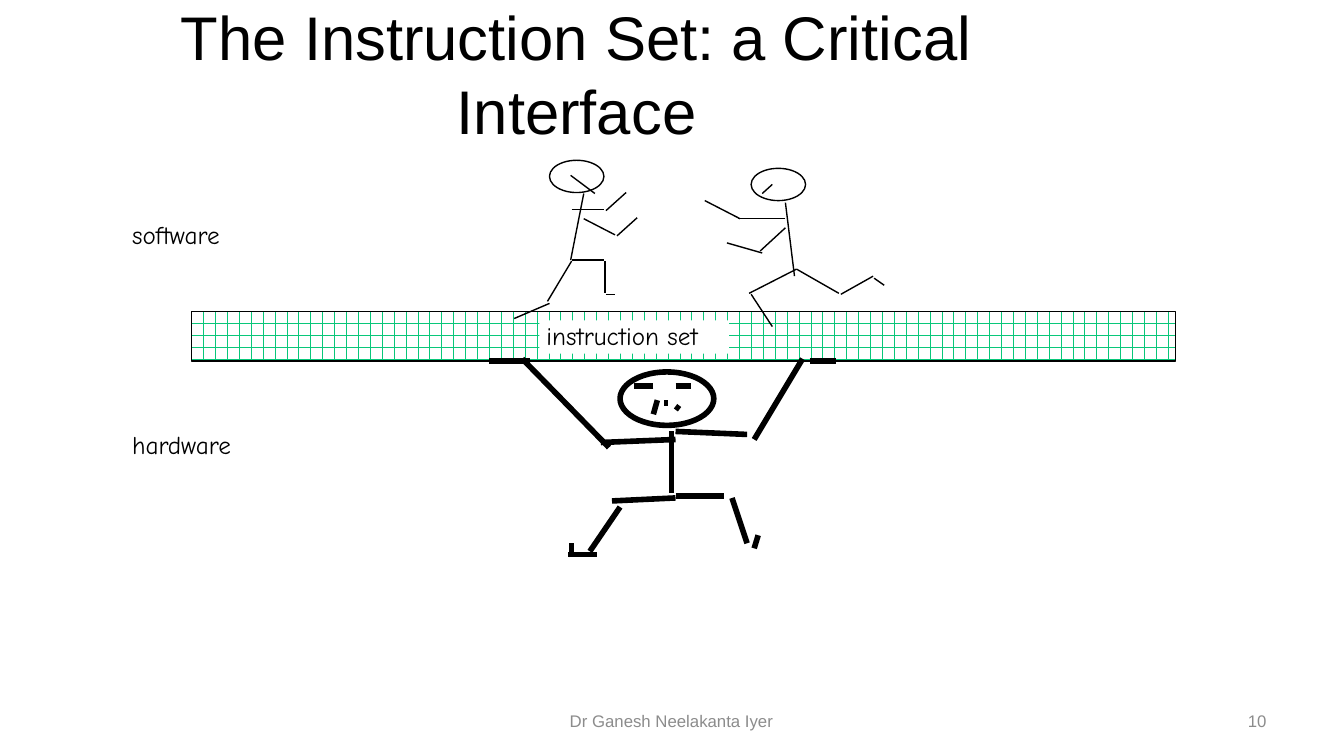
from dataclasses import dataclass

from lxml import etree
from pptx import Presentation
from pptx import util as u
from pptx.dml.color import RGBColor
from pptx.enum import dml, shapes, text
from pptx.oxml import ns

EMU_PER_PX = 9144  # 100 px to the inch
BLACK, WHITE, GREEN, GREY = "000000", "FFFFFF", "09C77A", "8C8C8C"

Box = tuple[int, int, int, int]  # left, top, width, height
Limb = tuple[int, int, int, int]  # from x, y to x, y


@dataclass(frozen=True)
class StickFigure:
    head: Box
    weight: int
    limbs: list[Limb]


@dataclass(frozen=True)
class Label:
    words: str
    box: Box
    font: str = "Comic Neue"
    size: int = 18
    color: str = BLACK
    fill: str | None = None
    spacing: float = 1.0
    align: text.PP_ALIGN = text.PP_ALIGN.LEFT
    hugs_text: bool = True


BAND: Box = (190, 309, 976, 49)

LEFT_RUNNER = StickFigure((545, 159, 54, 32), 1, [
    (579, 192, 566, 258),
    (567, 258, 599, 258), (600, 259, 600, 291), (601, 292, 610, 292),
    (567, 259, 543, 299), (545, 301, 510, 316),
    (579, 217, 610, 233), (612, 234, 632, 216),
    (567, 208, 599, 208), (601, 209, 621, 191),
    (590, 192, 566, 174),
])

RIGHT_RUNNER = StickFigure((745, 167, 54, 32), 1, [
    (779, 201, 788, 274),
    (790, 267, 743, 291), (745, 292, 766, 324),
    (790, 267, 832, 291), (834, 292, 866, 274), (867, 276, 877, 283),
    (779, 226, 754, 249), (756, 251, 721, 241),
    (779, 217, 732, 217), (734, 217, 699, 199),
    (756, 192, 766, 183),
])

CARRIER = StickFigure((615, 369, 93, 53), 4, [
    (648, 411, 652, 397), (659, 400, 663, 400), (670, 403, 674, 406),
    (670, 383, 685, 383), (648, 383, 629, 383),
    (567, 553, 567, 539),
    (666, 428, 666, 489),
    (670, 492, 718, 492), (726, 494, 741, 539), (748, 544, 752, 531),
    (670, 494, 607, 497), (615, 503, 585, 547), (592, 550, 563, 550),
    (670, 428, 741, 431), (748, 436, 796, 356), (803, 358, 829, 358),
    (670, 436, 596, 439), (604, 444, 518, 356), (526, 358, 485, 358),
])

LABELS = [
    Label("instruction set", (535, 318, 188, 33), fill=WHITE, spacing=0.92),
    Label("software", (124, 219, 121, 31), spacing=0.85),
    Label("hardware", (124, 428, 125, 31), spacing=0.85),
    Label("10", (955, 695, 311, 40), "Arial", 12, GREY,
          align=text.PP_ALIGN.RIGHT, hugs_text=False),
    Label("Dr Ganesh Neelakanta Iyer", (455, 695, 422, 40), "Arial", 12, GREY,
          align=text.PP_ALIGN.CENTER, hugs_text=False),
]


def px(*lengths: int) -> list[u.Emu]:
    return [u.Emu(length * EMU_PER_PX) for length in lengths]


def rgb(color: str) -> RGBColor:
    return RGBColor.from_string(color)


def apply(target, values: dict) -> None:
    for name, value in values.items():
        setattr(target, name, value)


def set_line(line, weight: int) -> None:
    line.color.rgb = rgb(BLACK)
    line.width = u.Pt(weight)


def write(paragraph, words: str, font: str, size: int, color: str) -> None:
    paragraph.text = words
    apply(paragraph.font, {"name": font, "size": u.Pt(size)})
    paragraph.font.color.rgb = rgb(color)


def add_outline(slide, kind: shapes.MSO_SHAPE, box: Box, weight: int):
    shape = slide.shapes.add_shape(kind, *px(*box))
    shape.shadow.inherit = False
    shape.fill.background()
    set_line(shape.line, weight)
    return shape


def add_title(slide) -> None:
    title = slide.shapes.title
    apply(title, dict(zip(("left", "top", "width", "height"), px(64, 25, 1016, 94))))
    apply(title.text_frame, {
        "word_wrap": True,
        "auto_size": text.MSO_AUTO_SIZE.NONE,
        "vertical_anchor": text.MSO_ANCHOR.MIDDLE,
    })
    paragraph = title.text_frame.paragraphs[0]
    write(paragraph, "The Instruction Set: a Critical Interface", "Arial", 44, BLACK)
    paragraph.alignment = text.PP_ALIGN.CENTER


def add_band(slide) -> None:
    band = add_outline(slide, shapes.MSO_SHAPE.RECTANGLE, BAND, 1)
    band.fill.patterned()
    band.fill.pattern = dml.MSO_PATTERN.HORIZONTAL_BRICK
    band.fill.fore_color.rgb = rgb(GREEN)
    band.fill.back_color.rgb = rgb(WHITE)


def add_figure(slide, figure: StickFigure) -> None:
    add_outline(slide, shapes.MSO_SHAPE.OVAL, figure.head, figure.weight)
    for limb in figure.limbs:
        connector = slide.shapes.add_connector(shapes.MSO_CONNECTOR.STRAIGHT, *px(*limb))
        set_line(connector.line, figure.weight)
        etree.SubElement(connector._element.spPr, ns.qn("a:effectLst"))


def add_label(slide, label: Label) -> None:
    shape = slide.shapes.add_textbox(*px(*label.box))
    if label.fill:
        shape.fill.solid()
        shape.fill.fore_color.rgb = rgb(label.fill)
    frame = shape.text_frame
    if label.hugs_text:
        side, edge = px(7, 3)
        apply(frame, {
            "margin_left": side, "margin_right": side,
            "margin_top": edge, "margin_bottom": edge,
            "word_wrap": False,
            "auto_size": text.MSO_AUTO_SIZE.SHAPE_TO_FIT_TEXT,
        })
    else:
        apply(frame, {"word_wrap": True, "vertical_anchor": text.MSO_ANCHOR.MIDDLE})
    paragraph = frame.paragraphs[0]
    write(paragraph, label.words, label.font, label.size, label.color)
    apply(paragraph, {"alignment": label.align, "line_spacing": label.spacing})


def main() -> None:
    presentation = Presentation()
    apply(presentation, dict(zip(("slide_width", "slide_height"), px(1333, 750))))
    slide = presentation.slides.add_slide(presentation.slide_layouts.get_by_name("Title Only"))
    add_title(slide)
    add_band(slide)
    for figure in (LEFT_RUNNER, RIGHT_RUNNER, CARRIER):
        add_figure(slide, figure)
    for label in LABELS:
        add_label(slide, label)
    presentation.save("out.pptx")


if __name__ == "__main__":
    main()
